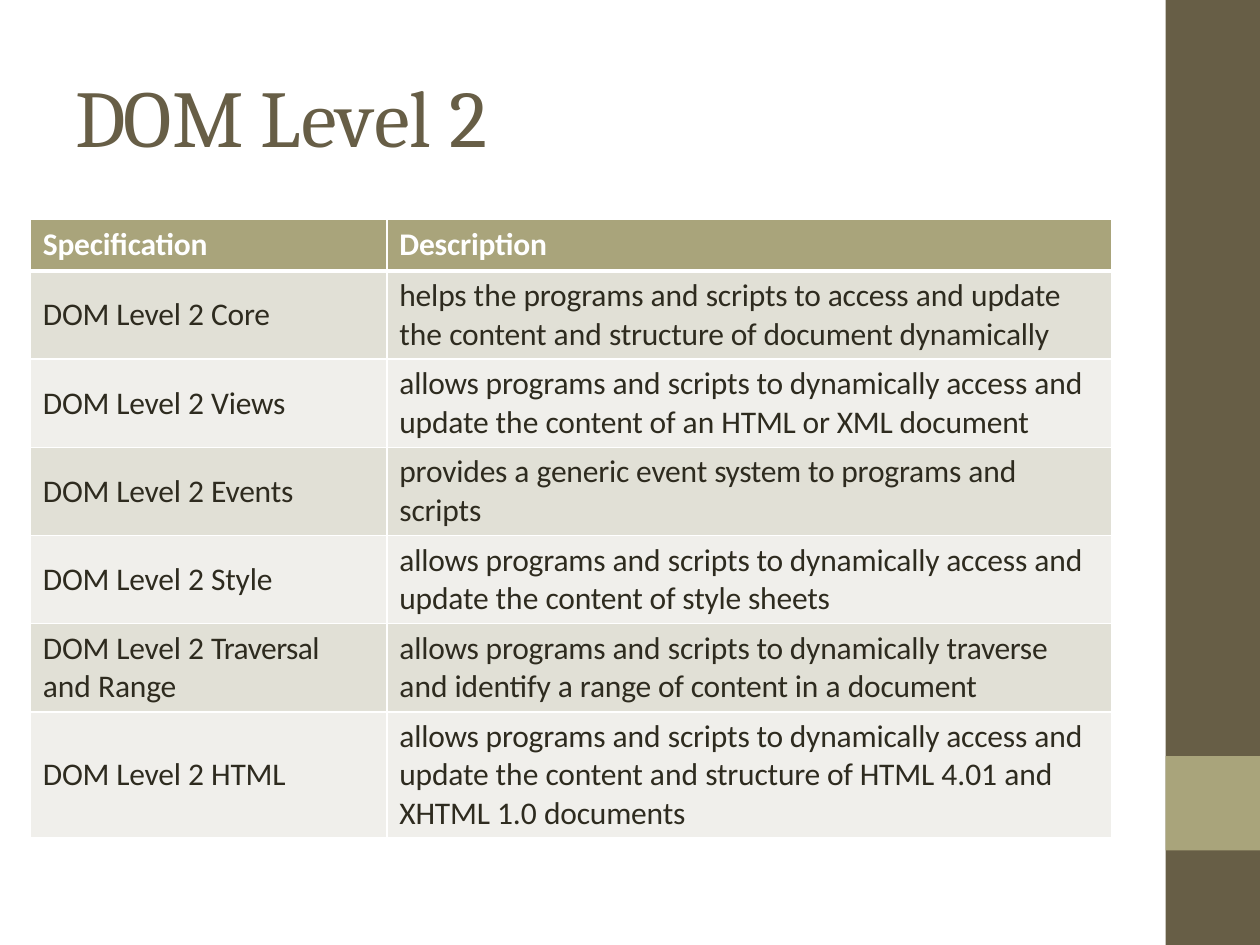
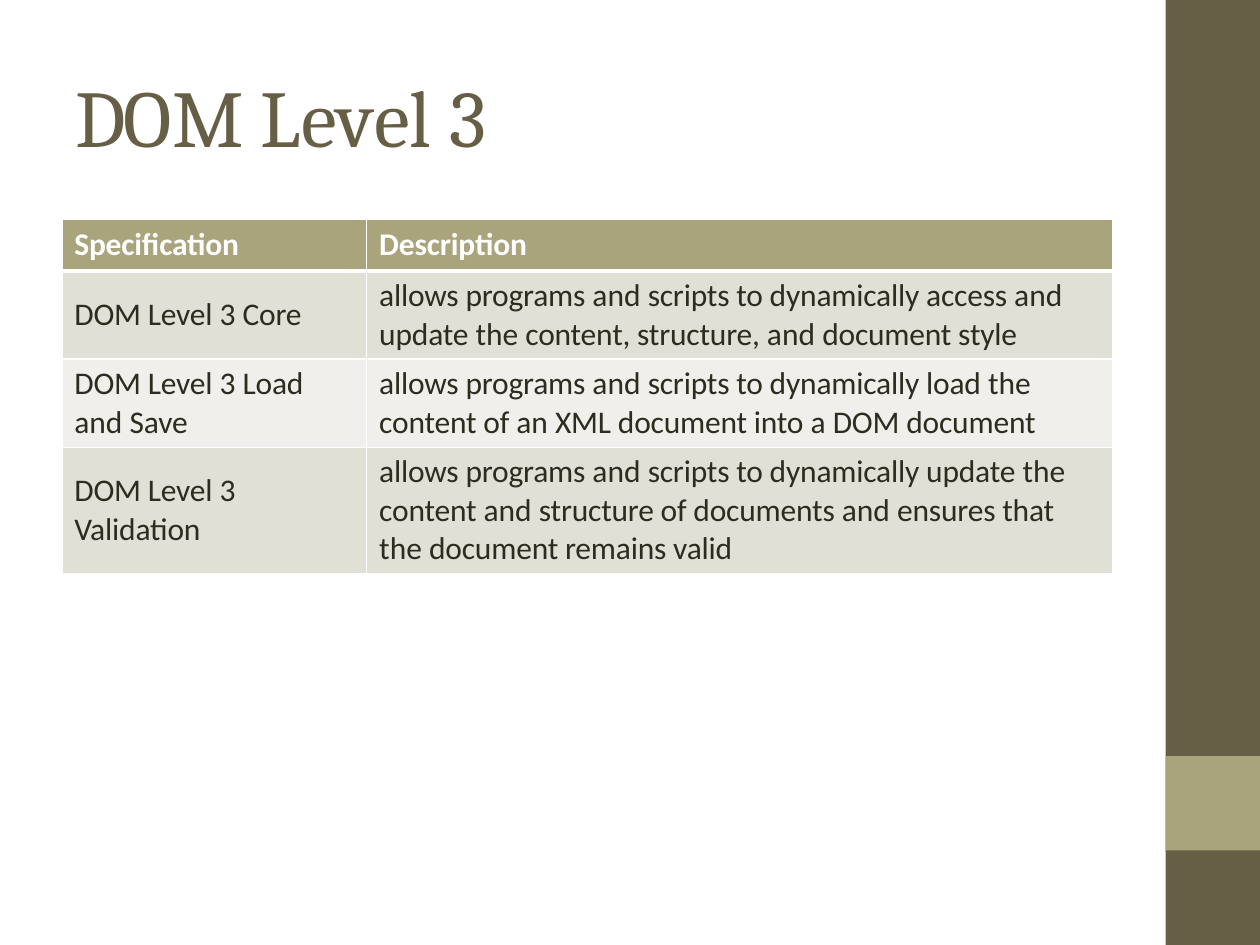
from dataclasses import dataclass
from itertools import groupby

from lxml.etree import SubElement
from pptx import Presentation
from pptx.dml.color import RGBColor
from pptx.enum.shapes import MSO_SHAPE as Shape
from pptx.enum.text import MSO_ANCHOR as Anchor
from pptx.oxml.ns import qn
from pptx.util import Inches, Pt


@dataclass(frozen=True)
class Theme:
    dark: str = "675E46"
    accent: str = "A9A47B"
    ink: str = "2E2B1F"
    white: str = "FFFFFF"
    bands: tuple = ("E1E0D6", "F0EFEB")
    title_font: str = "Cambria"
    body_font: str = "Calibri"
    title_size: float = 46
    body_size: float = 18


# Letter spacing in points: words that differ from the usual body spacing
BODY_SPACING = -0.1
WORD_SPACING = dict.fromkeys(("a", "an", "and", "the", "2", "3", "4.01", "1.0"), 0)
WORD_SPACING |= {"Traversal": -0.3, "traverse": -0.2, "system": -0.2}
TITLE_SPACING = (("DO", -1.1), ("M ", -0.1), ("L", -1), ("e", -1.5), ("v", -1.9), ("e", -1.1))


def word_spacing(word):
    return WORD_SPACING.get(word, BODY_SPACING)


class SlideBuilder:
    def __init__(self, deck, theme):
        self.deck = deck
        self.theme = theme
        self.page = None

    def new_page(self, title):
        self.page = self.deck.slides.add_slide(self.deck.slide_layouts[6])
        self.bar(0, 7.5, self.theme.dark)
        self.bar(6, 0.75, self.theme.accent)
        self.title(title)

    def bar(self, top, height, color):
        bar = self.page.shapes.add_shape(
            Shape.RECTANGLE, Inches(9.25), Inches(top), Inches(0.75), Inches(height))
        bar.shadow.inherit = False
        bar.fill.solid()
        bar.fill.fore_color.rgb = RGBColor.from_string(color)
        bar.line.fill.background()

    def title(self, level):
        box = self.page.shapes.add_textbox(Inches(0.59), Inches(0.51), Inches(3.33), Inches(0.79))
        frame = box.text_frame
        frame.word_wrap = True
        frame.margin_left, frame.margin_top = Inches(0.01), Inches(0.02)
        frame.margin_right = frame.margin_bottom = 0
        for text, spacing in (*TITLE_SPACING, (f"l {level}", -0.1)):
            self.span(frame.paragraphs[0], text, spacing, self.theme.dark,
                      self.theme.title_font, self.theme.title_size)

    def span(self, para, text, spacing, color, font, size, bold=False):
        span = para.add_run()
        span.text = text
        span.font.name = font
        span.font.size = Pt(size)
        span.font.bold = bold
        span.font.color.rgb = RGBColor.from_string(color)
        span.font._element.set("spc", str(round(spacing * 100)))

    def table(self, left, widths, heights, rows):
        frame = self.page.shapes.add_table(
            len(rows), len(widths), Inches(left), Inches(1.74),
            Inches(sum(widths)), Inches(sum(heights)))
        table = frame.table
        table.first_row = table.horz_banding = False
        for column, width in zip(table.columns, widths):
            column.width = Inches(width)
        for row, height in zip(table.rows, heights):
            row.height = Inches(height)
        for index, texts in enumerate(rows):
            for column, text in enumerate(texts):
                self.cell(table.cell(index, column), text, index)

    def cell(self, cell, text, row):
        header = row == 0
        fill = self.theme.accent if header else self.theme.bands[(row - 1) % 2]
        cell.fill.solid()
        cell.fill.fore_color.rgb = RGBColor.from_string(fill)
        cell.vertical_anchor = Anchor.MIDDLE
        cell.margin_left = Inches(0.1)
        cell.margin_right = cell.margin_top = cell.margin_bottom = 0
        self.borders(cell, top=3 if row == 1 else 1, bottom=3 if header else 1)
        para = cell.text_frame.paragraphs[0]
        for number, line in enumerate(text.split("\n")):
            if number:
                para.add_line_break()
            groups = [(spacing, " ".join(words))
                      for spacing, words in groupby(line.split(), word_spacing)]
            for position, (spacing, words) in enumerate(groups, 1):
                gap = " " if position < len(groups) else ""
                self.span(para, words + gap, spacing,
                          self.theme.white if header else self.theme.ink,
                          self.theme.body_font, self.theme.body_size, bold=header)

    def borders(self, cell, top, bottom):
        properties = cell._tc.get_or_add_tcPr()
        sides = (("a:lnL", 1), ("a:lnR", 1), ("a:lnT", top), ("a:lnB", bottom))
        for position, (tag, width) in enumerate(sides):
            line = SubElement(properties, qn(tag), w=str(Pt(width)))
            SubElement(SubElement(line, qn("a:solidFill")), qn("a:srgbClr"), val=self.theme.white)
            properties.insert(position, line)  # borders come before the fill


HEADER = ("Specification", "Description")

LEVEL_2 = (
    HEADER,
    ("DOM Level 2 Core",
     "helps the programs and scripts to access and update\n"
     "the content and structure of document dynamically"),
    ("DOM Level 2 Views",
     "allows programs and scripts to dynamically access and\n"
     "update the content of an HTML or XML document"),
    ("DOM Level 2 Events",
     "provides a generic event system to programs and\nscripts"),
    ("DOM Level 2 Style",
     "allows programs and scripts to dynamically access and\n"
     "update the content of style sheets"),
    ("DOM Level 2 Traversal\nand Range",
     "allows programs and scripts to dynamically traverse\n"
     "and identify a range of content in a document"),
    ("DOM Level 2 HTML",
     "allows programs and scripts to dynamically access and\n"
     "update the content and structure of HTML 4.01 and\n"
     "XHTML 1.0 documents"),
)

LEVEL_3 = (
    HEADER,
    ("DOM Level 3 Core",
     "allows programs and scripts to dynamically access and\n"
     "update the content, structure, and document style"),
    ("DOM Level 3 Load\nand Save",
     "allows programs and scripts to dynamically load the\n"
     "content of an XML document into a DOM document"),
    ("DOM Level 3\nValidation",
     "allows programs and scripts to dynamically update the\n"
     "content and structure of documents and ensures that\n"
     "the document remains valid"),
)


def main():
    deck = Presentation()
    deck.slide_width, deck.slide_height = Inches(10), Inches(7.5)
    builder = SlideBuilder(deck, Theme())

    # DOM Level 2
    builder.new_page(2)
    builder.table(0.24, (2.83, 5.75), (0.41, *[0.7] * 5, 1), LEVEL_2)

    # DOM Level 3
    builder.new_page(3)
    builder.table(0.49, (2.42, 5.92), (0.41, *[0.7] * 2, 1), LEVEL_3)

    deck.save("out.pptx")


if __name__ == "__main__":
    main()
